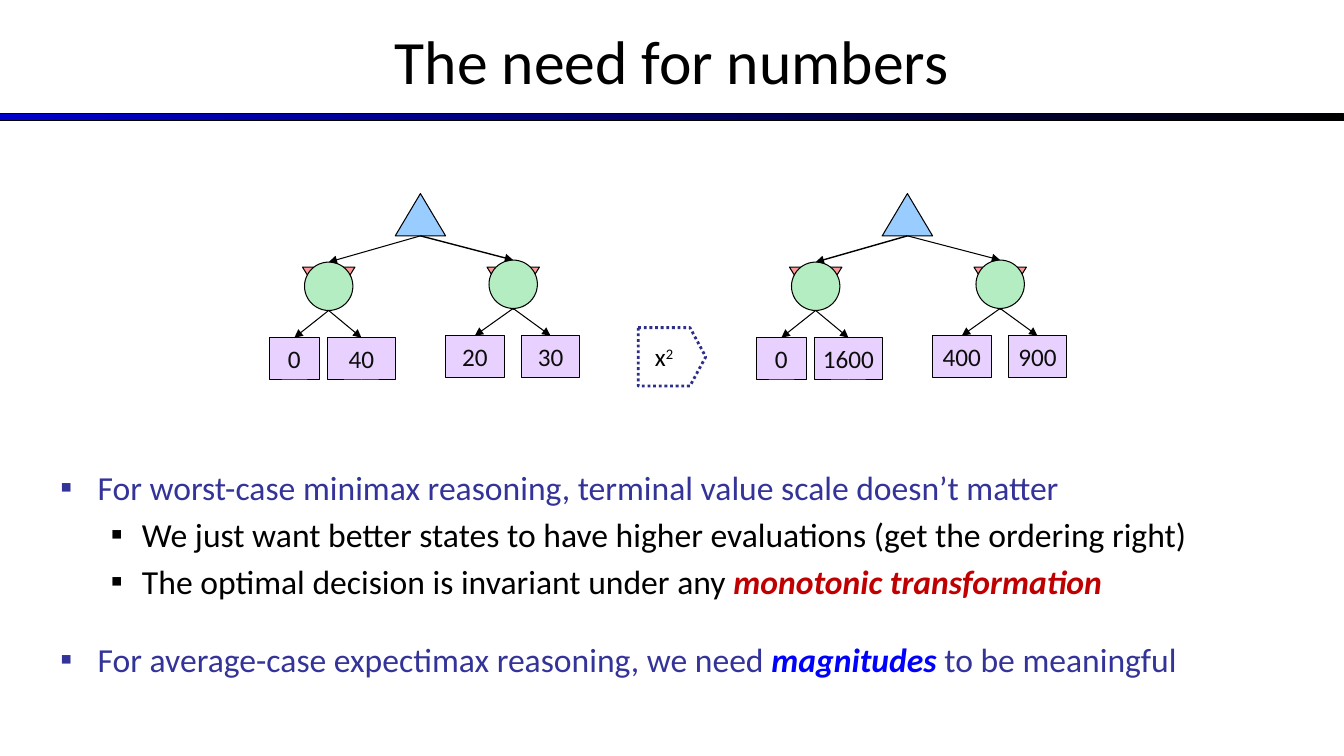
"""Build the slide "The need for numbers" with two game trees and bullets."""
from lxml import etree
from pptx import Presentation
from pptx import util as u
from pptx.dml.color import RGBColor
from pptx.enum import dml, shapes, text
from pptx.oxml.ns import qn

PX = 9144
BLACK = "000000"
NAVY = "333399"
SHAPE = shapes.MSO_SHAPE


def rgb(value):
    return RGBColor.from_string(value)


def add_run(p, content, size, color, strong=False):
    r = p.add_run()
    r.text = content
    r.font.name = "Calibri"
    r.font.size = u.Pt(size)
    r.font.color.rgb = rgb(color)
    r.font.bold = r.font.italic = strong
    return r


prs = Presentation()
prs.slide_width, prs.slide_height = 1333 * PX, 750 * PX
s = prs.slides.add_slide(prs.slide_layouts[6])

bar = s.shapes.add_shape(SHAPE.RECTANGLE, 0, 113 * PX, 1333 * PX, 7 * PX)
bar.shadow.inherit = False
bar.fill.gradient()
bar.fill.gradient_angle = 0
for stop, color in zip(bar.fill.gradient_stops, ("0000CC", BLACK)):
    stop.color.rgb = rgb(color)
bar.line.color.rgb = rgb(BLACK)
bar.line.width = u.Pt(0.75)

title = s.shapes.add_textbox(0, -3 * PX, 1333 * PX, 125 * PX)
tf = title.text_frame
tf.word_wrap = True
tf.vertical_anchor = text.MSO_ANCHOR.MIDDLE
tf.paragraphs[0].alignment = text.PP_ALIGN.CENTER
add_run(tf.paragraphs[0], "The need for numbers", 44, BLACK)

leaf_boxes = [(267, 335, 50), (325, 335, 67), (442, 333, 58), (517, 333, 58)]
chance_nodes = [(326, 260), (509, 258)]
trees = [
    (0, ["0", "40", "20", "30"], (0.75, 1)),
    (483, ["0", "1600", "400", "900"], (1, 0.75)),
]

for dx, values, edge_widths in trees:
    nodes = [(SHAPE.ISOSCELES_TRIANGLE, 392, 192, 50, 42, "99CCFF", "")]
    for x, y in chance_nodes:
        nodes.append((SHAPE.ISOSCELES_TRIANGLE, x - 26, 265, 52, 42, "FF9999", ""))
        nodes.append((SHAPE.OVAL, x - 24, y, 48, 48, "B5EDC2", ""))
    for (x, y, w), value in zip(leaf_boxes, values):
        nodes.append((SHAPE.RECTANGLE, x, y, w, 42, "E8D1FF", value))

    leaves = []
    for kind, x, y, w, h, fill, value in nodes:
        sp = s.shapes.add_shape(kind, (x + dx) * PX, y * PX, w * PX, h * PX)
        sp.shadow.inherit = False
        sp.fill.solid()
        sp.fill.fore_color.rgb = rgb(fill)
        sp.line.color.rgb = rgb(BLACK)
        sp.line.width = u.Pt(0.75)
        if fill == "FF9999":
            sp.rotation = 180
        if value:
            tf = sp.text_frame
            tf.word_wrap = False
            tf.vertical_anchor = text.MSO_ANCHOR.MIDDLE
            tf.paragraphs[0].alignment = text.PP_ALIGN.CENTER
            add_run(tf.paragraphs[0], value, 18, "0D0D0D")
            leaves.append(sp)

    edges = []
    for i, (x, y) in enumerate(chance_nodes):
        edges.append((417, 234, x, y, edge_widths[i], None))
        for leaf in leaves[2 * i:2 * i + 2]:
            edges.append((x, y + 48, x, y + 75, 0.75, leaf))
    for x1, y1, x2, y2, width, leaf in edges:
        edge = s.shapes.add_connector(
            shapes.MSO_CONNECTOR.STRAIGHT,
            (x1 + dx) * PX, y1 * PX, (x2 + dx) * PX, y2 * PX)
        if leaf is not None:
            edge.end_connect(leaf, 0)
        edge.line.color.rgb = rgb(BLACK)
        edge.line.width = u.Pt(width)
        etree.SubElement(edge.line._get_or_add_ln(), qn("a:tailEnd"), type="triangle")
        etree.SubElement(edge._element.spPr, qn("a:effectLst"))

arrow = s.shapes.add_shape(SHAPE.RIGHT_ARROW, 633 * PX, 325 * PX, 67 * PX, 58 * PX)
arrow.adjustments[0] = 1
arrow.adjustments[1] = 0.27
arrow.shadow.inherit = False
arrow.fill.solid()
arrow.fill.fore_color.rgb = rgb("FFFFFF")
arrow.line.color.rgb = rgb("2D2D8A")
arrow.line.width = u.Pt(2)
arrow.line.dash_style = dml.MSO_LINE.ROUND_DOT
tf = arrow.text_frame
tf.vertical_anchor = text.MSO_ANCHOR.MIDDLE
tf.paragraphs[0].alignment = text.PP_ALIGN.CENTER
add_run(tf.paragraphs[0], "x", 18, BLACK)
power = add_run(tf.paragraphs[0], "2", 18, BLACK)
power.font._element.set("baseline", "30000")

bullets = [
    (0, 0, [("For worst-case minimax reasoning, terminal value scale doesn’t matter", NAVY, False)]),
    (1, 4.8, [("We just want better states to have higher evaluations (get the ordering right)", BLACK, False)]),
    (1, 4.8, [("The optimal decision is invariant under any ", BLACK, False),
              ("monotonic transformation", "C00000", True)]),
    (0, 27, [("For average-case expectimax reasoning, we need ", NAVY, False),
             ("magnitudes", "0000FF", True),
             (" to be meaningful", NAVY, False)]),
]
indents = [(37, 37), (81, 31)]

body = s.shapes.add_textbox(50 * PX, 458 * PX, 1208 * PX, 258 * PX)
tf = body.text_frame
tf.word_wrap = True
for i, (level, gap, runs) in enumerate(bullets):
    p = tf.add_paragraph() if i else tf.paragraphs[0]
    p.level = level
    left, hang = indents[level]
    pPr = p._p.get_or_add_pPr()
    pPr.set("marL", str(left * PX))
    pPr.set("indent", str(-hang * PX))
    bullet_color = etree.SubElement(pPr, qn("a:buClr"))
    etree.SubElement(bullet_color, qn("a:srgbClr"), val=runs[0][1])
    etree.SubElement(pPr, qn("a:buFont"), typeface="Calibri")
    etree.SubElement(pPr, qn("a:buChar"), char="▪")
    if gap:
        p.space_before = u.Pt(gap)
    for content, color, strong in runs:
        add_run(p, content, 24, color, strong)

prs.save("out.pptx")
